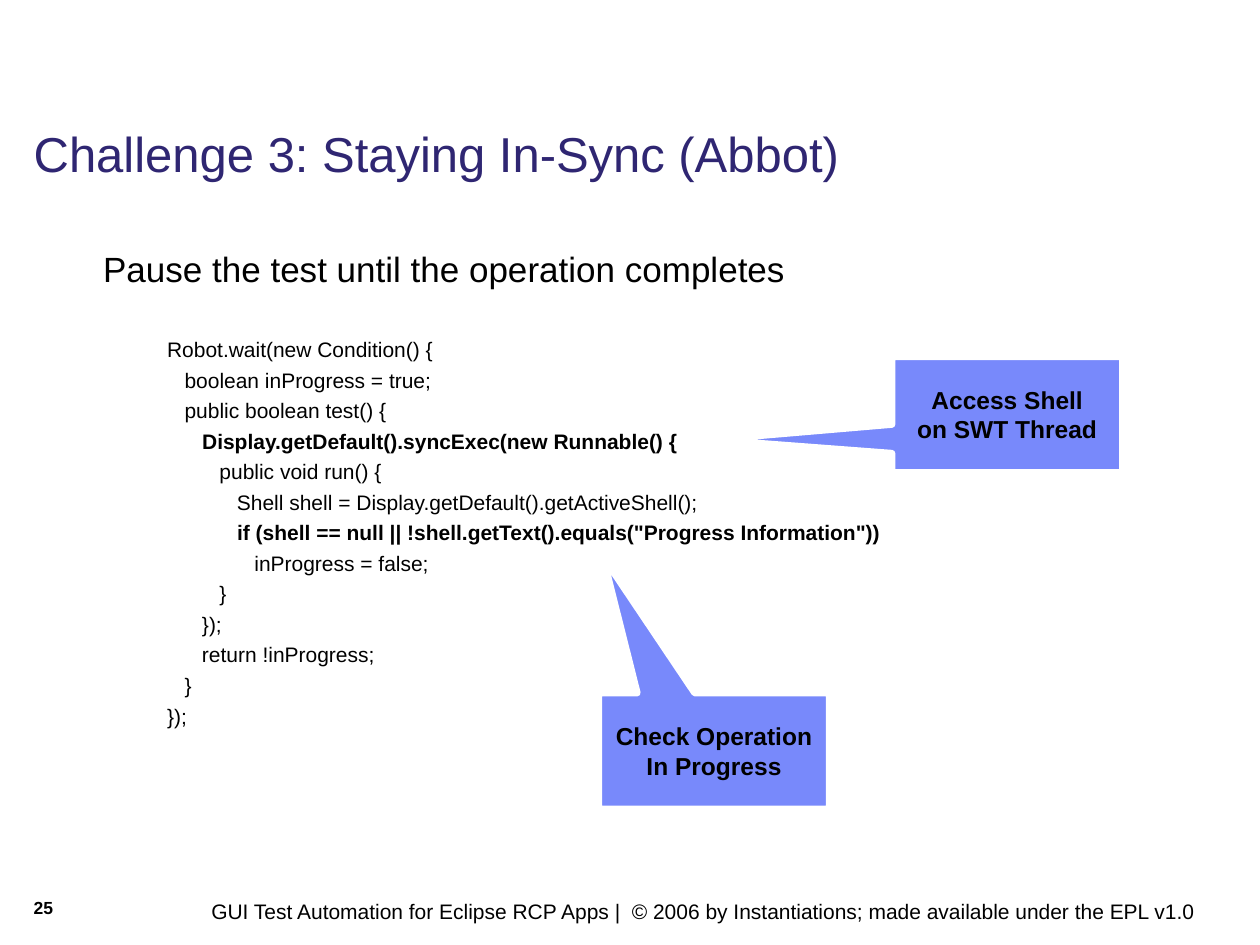
from pptx import Presentation
from pptx.dml.color import RGBColor
from pptx.enum import shapes, text
from pptx.util import Cm, Pt

# Content
TITLE = "Challenge 3: Staying In-Sync (Abbot)"
LEAD = "Pause the test until the operation completes"
FOOTER = ("GUI Test Automation for Eclipse RCP Apps |  © 2006 by Instantiations; "
          "made available under the EPL v1.0")
NUMBER = "25"
# Each code line: depth, words, bold
CODE = [
    (0, "Robot.wait(new Condition() {", False),
    (1, "boolean inProgress = true;", False),
    (1, "public boolean test() {", False),
    (2, "Display.getDefault().syncExec(new Runnable() {", True),
    (3, "public void run() {", False),
    (4, "Shell shell = Display.getDefault().getActiveShell();", False),
    (4, 'if (shell == null || !shell.getText().equals("Progress Information"))', True),
    (5, "inProgress = false;", False),
    (3, "}", False),
    (2, "});", False),
    (2, "return !inProgress;", False),
    (1, "}", False),
    (0, "});", False),
]
# Each callout: left, top, label width, pointer tip, lines
CALLOUTS = [
    (12.07, 13.97, 4.47, (-0.483, -1.682), ["Check Operation", "In Progress"]),
    (17.98, 7.19, 4.14, (-1.284, 0.216), ["Access Shell", "on SWT Thread"]),
]
CALL_W, CALL_H, LABEL_H = 4.65, 2.34, 1.45
INDENT = " " * 3
COLORS = {"title": "2F2672", "text": "000000", "call": "7889FB", "edge": "FFFFFF"}

deck = Presentation()
deck.slide_width, deck.slide_height = Cm(25.4), Cm(19.05)
slide = deck.slides.add_slide(deck.slide_layouts[6])


def color(name):
    return RGBColor.from_string(COLORS[name])


def add_box(left, top, width, height, anchor=text.MSO_ANCHOR.TOP, wrap=True):
    box = slide.shapes.add_textbox(Cm(left), Cm(top), Cm(width), Cm(height))
    frame = box.text_frame
    frame.word_wrap = wrap
    frame.vertical_anchor = anchor
    return frame


def add_run(para, words, size, bold=False, tone="text"):
    run = para.add_run()
    run.text = words
    font = run.font
    font.name, font.size, font.bold = "Arial", Pt(size), bold
    font.color.rgb = color(tone)


def set_hang(para, margin, indent):
    props = para._p.get_or_add_pPr()
    props.set("marL", str(Cm(margin)))
    props.set("indent", str(Cm(indent)))


# Footer
add_run(add_box(4.01, 17.98, 21.39, 0.76).paragraphs[0], FOOTER, 12)

# Title
para = add_box(0.43, 2.41, 22.91, 1.4, text.MSO_ANCHOR.BOTTOM).paragraphs[0]
para.line_spacing = 0.9
add_run(para, TITLE, 28, tone="title")

# Lead sentence and code
body = add_box(1.83, 5.03, 21.49, 10.85)
para = body.paragraphs[0]
para.line_spacing = 0.8
set_hang(para, 0.64, -0.64)
add_run(para, LEAD, 20)
for row, (depth, words, bold) in enumerate(CODE):
    para = body.add_paragraph()
    para.level = 1
    para.line_spacing = 0.8
    para.space_before = Pt(3.7 if row else 30)
    para.space_after = Pt(2.2)
    set_hang(para, 2.08, -0.79)
    if bold:
        add_run(para, INDENT * depth, 12)
        add_run(para, words, 12, True)
    else:
        add_run(para, INDENT * depth + words, 12)

# Callouts with centred labels
for left, top, width, tip, lines in CALLOUTS:
    call = slide.shapes.add_shape(shapes.MSO_SHAPE.RECTANGULAR_CALLOUT,
                                  Cm(left), Cm(top), Cm(CALL_W), Cm(CALL_H))
    call.adjustments[0], call.adjustments[1] = tip
    call.shadow.inherit = False
    call.fill.solid()
    call.fill.fore_color.rgb = color("call")
    call.line.color.rgb = color("edge")
    call.line.width = Pt(4)
    label = add_box(left + (CALL_W - width) / 2, top + (CALL_H - LABEL_H) / 2,
                    width, LABEL_H, wrap=False)
    for row, words in enumerate(lines):
        para = label.add_paragraph() if row else label.paragraphs[0]
        para.alignment = text.PP_ALIGN.CENTER
        add_run(para, words, 14, True)

# Slide number
add_run(add_box(0.43, 17.96, 2.79, 0.89).paragraphs[0], NUMBER, 10, True)

deck.save("out.pptx")
